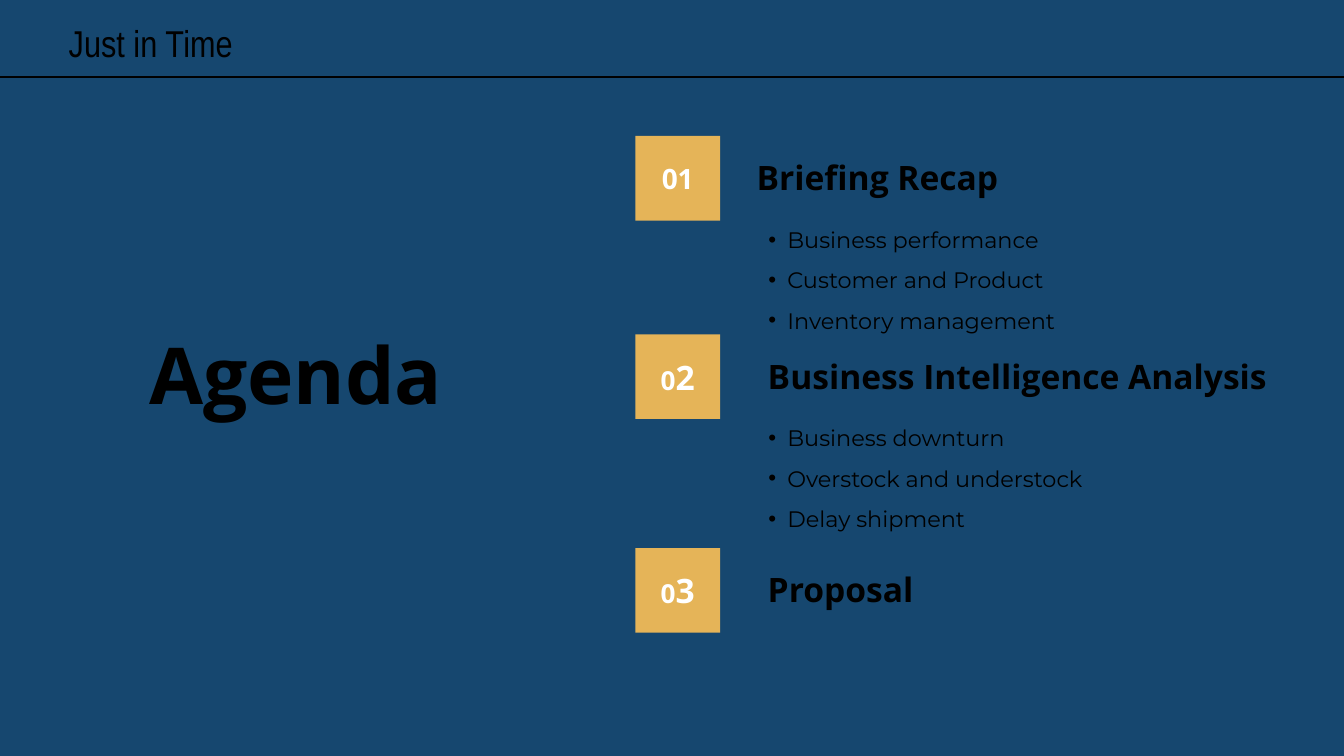
import pptx
import pptx.util
import pptx.dml.color
import pptx.enum.shapes
import pptx.enum.text
import pptx.oxml
import pptx.oxml.ns

Cm = pptx.util.Cm
Align = pptx.enum.text.PP_ALIGN
Anchor = pptx.enum.text.MSO_ANCHOR

THEME = {
    "navy": "16476F", "gold": "E5B458", "black": "000000", "white": "FFFFFF",
    "main": "Open Sans", "list": "Montserrat", "top": "Arial Narrow",
    "title": 42, "brand": 20, "head": 18, "item": 12,
}
BRAND = "Just in Time"
TITLE = "Agenda"
PARTS = [
    {"top": 2.57, "left": 14.12, "mark": [("01", 15)], "head": "Briefing Recap",
     "items": ["Business performance", "Customer and Product", "Inventory management"]},
    {"top": 6.32, "left": 14.33, "mark": [("0", 14), ("2", 18)],
     "head": "Business Intelligence Analysis",
     "items": ["Business downturn", "Overstock and understock", "Delay shipment"]},
    {"top": 10.36, "left": 14.33, "mark": [("0", 14), ("3", 18)],
     "head": "Proposal", "items": []},
]
WIDE, HIGH = 25.4, 14.29
BOX_LEFT, BOX = 12.01, 1.6
HEAD_DROP, LIST_DROP = 0.3, 1.35
LIST_LEFT, INDENT = 14.34, 0.36
RULE_TOP = 1.45


def tint(key):
    return pptx.dml.color.RGBColor.from_string(THEME[key])


def style(run, size, face="main", hue="black", bold=True):
    run.font.size = pptx.util.Pt(size)
    run.font.name = THEME[face]
    run.font.bold = bold
    run.font.color.rgb = tint(hue)


def place(shape, left, top, wide, high):
    shape.left, shape.top = Cm(left), Cm(top)
    shape.width, shape.height = Cm(wide), Cm(high)


def frame(shape, anchor=Anchor.TOP):
    text = shape.text_frame
    text.word_wrap = True
    text.auto_size = pptx.enum.text.MSO_AUTO_SIZE.NONE
    text.vertical_anchor = anchor
    text.margin_left = text.margin_right = Cm(0.18)
    text.margin_top = text.margin_bottom = Cm(0.1)
    return text


def write(shape, words, *look):
    text = frame(shape)
    text.text = words
    line = text.paragraphs[0]
    line.alignment = Align.LEFT
    style(line.runs[0], *look)


def label(slide, words, spot, *look):
    write(slide.shapes.add_textbox(*map(Cm, spot)), words, *look)


def badge(slide, top, mark):
    box = slide.shapes.add_shape(pptx.enum.shapes.MSO_SHAPE.RECTANGLE,
                                 Cm(BOX_LEFT), Cm(top), Cm(BOX), Cm(BOX))
    box.shadow.inherit = False
    box.fill.solid()
    box.fill.fore_color.rgb = tint("gold")
    box.line.fill.background()
    line = frame(box, Anchor.MIDDLE).paragraphs[0]
    line.alignment = Align.CENTER
    for words, size in mark:
        run = line.add_run()
        run.text = words
        style(run, size, "main", "white")


def bullet(line):
    props = line._p.get_or_add_pPr()
    props.set("marL", str(Cm(INDENT)))
    props.set("indent", str(-Cm(INDENT)))
    space = pptx.oxml.ns.nsdecls("a")
    for xml in (
        f'<a:buClr {space}><a:srgbClr val="{THEME["black"]}"/></a:buClr>',
        f'<a:buFont {space} typeface="Arial"/>',
        f'<a:buChar {space} char="•"/>',
    ):
        props.append(pptx.oxml.parse_xml(xml))


def fill_list(body, top, items):
    place(body, LIST_LEFT, top, 9.86, 2.24)
    text = frame(body)
    text.text = "\n".join(items)
    for line in text.paragraphs:
        line.alignment = Align.JUSTIFY
        line.line_spacing = 1.5
        line.space_before = pptx.util.Pt(0)
        bullet(line)
        style(line.runs[0], THEME["item"], "list", "black", False)


def draw_rule(slide):
    rule = slide.shapes.add_connector(pptx.enum.shapes.MSO_CONNECTOR.STRAIGHT,
                                      0, Cm(RULE_TOP), Cm(WIDE), Cm(RULE_TOP))
    rule.line.color.rgb = tint("black")
    rule.line.width = pptx.util.Pt(1)
    space = pptx.oxml.ns.nsdecls("a")
    rule._element.spPr.append(pptx.oxml.parse_xml(f"<a:effectLst {space}/>"))


def main():
    deck = pptx.Presentation()
    deck.slide_width, deck.slide_height = Cm(WIDE), Cm(HIGH)
    slide = deck.slides.add_slide(deck.slide_layouts.get_by_name("Two Content"))
    slide.background.fill.solid()
    slide.background.fill.fore_color.rgb = tint("navy")

    title, *bodies = slide.placeholders
    place(title, 2.64, 6.07, 6.22, 1.98)
    write(title, TITLE, THEME["title"])
    label(slide, BRAND, (1.12, 0.28, 5.33, 1.04), THEME["brand"], "top", "black", False)
    draw_rule(slide)

    spare = iter(bodies)
    for part in PARTS:
        top = part["top"]
        badge(slide, top, part["mark"])
        label(slide, part["head"], (part["left"], top + HEAD_DROP, 10.31, 0.97),
              THEME["head"])
        if part["items"]:
            fill_list(next(spare), top + LIST_DROP, part["items"])

    deck.save("out.pptx")


if __name__ == "__main__":
    main()
